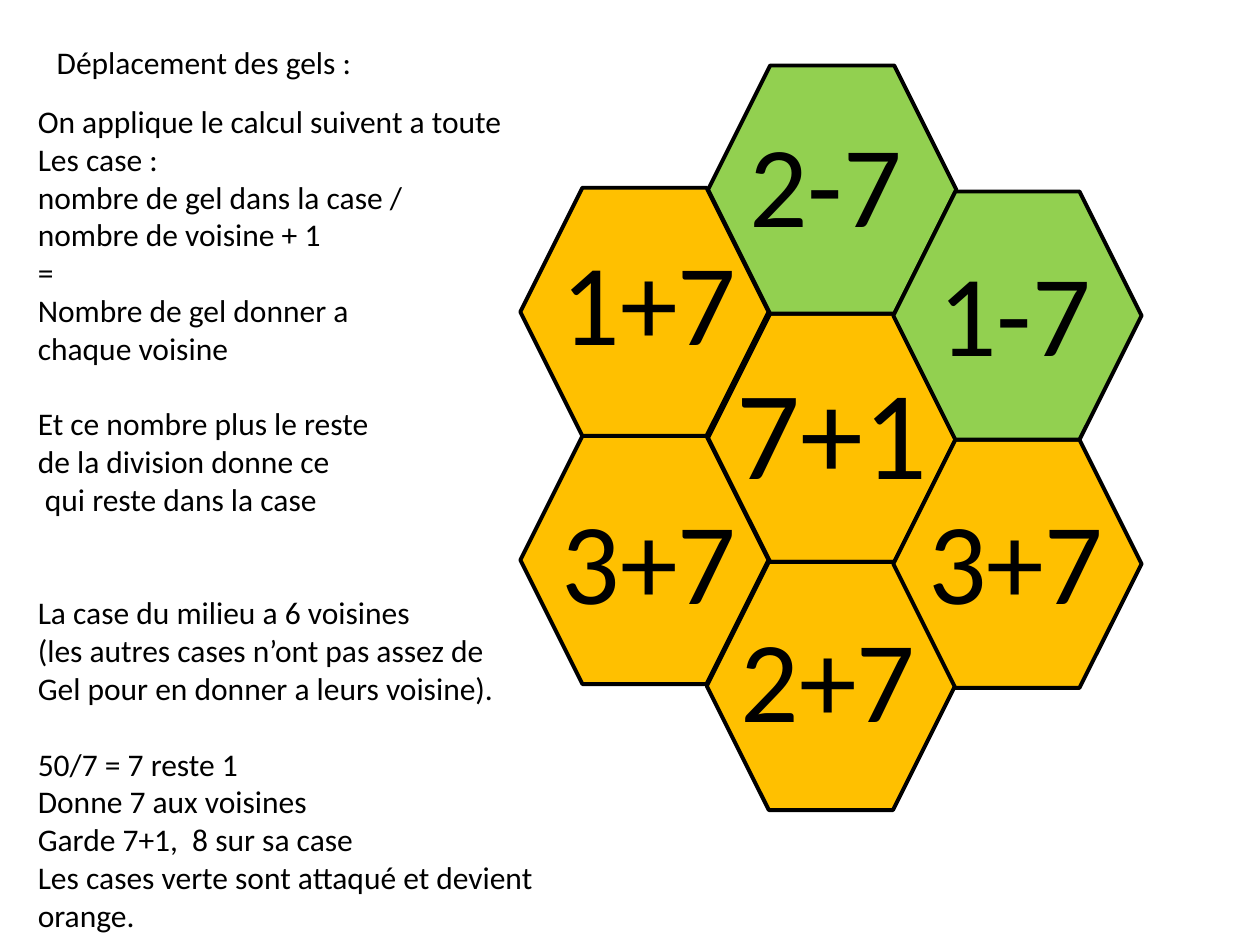
from lxml import etree
from pptx import Presentation
from pptx.dml.color import RGBColor
from pptx.enum.shapes import MSO_SHAPE
from pptx.enum.text import MSO_ANCHOR, MSO_AUTO_SIZE, PP_ALIGN
from pptx.oxml.ns import qn
from pptx.util import Pt

HEXAGON = MSO_SHAPE.HEXAGON
TOP = MSO_ANCHOR.TOP
FIXED = MSO_AUTO_SIZE.NONE
LEFT = PP_ALIGN.LEFT
BLACK = RGBColor(0, 0, 0)
ORANGE = RGBColor(0xFF, 0xC0, 0x00)
GREEN = RGBColor(0x92, 0xD0, 0x50)
PX = 9144  # 100 px to the inch
SIDE = 197
LINE = Pt(21.6)


def place(shape, x, y, w, h):
    shape.left, shape.top, shape.width, shape.height = (n * PX for n in (x, y, w, h))
    frame = shape.text_frame
    frame.auto_size = FIXED
    frame.vertical_anchor = TOP
    frame.word_wrap = False
    return frame


def style(para, size):
    para.alignment = LEFT
    para.font.name = "Calibri"
    para.font.size = Pt(size)
    para.font.color.rgb = BLACK


deck = Presentation()
deck.slide_width = 1000 * PX
deck.slide_height = 750 * PX
slide = deck.slides.add_slide(deck.slide_layouts[1])
title, body = slide.placeholders

frame = place(title, 35, 29, 257, 40)
frame.text = "Déplacement des gels :"
style(frame.paragraphs[0], 18)

# Each rule line: blank lines of space before it, then its text
rules = [
    (0, "On applique le calcul suivent a toute"),
    (0, "Les case :"),
    (0, "nombre de gel dans la case /"),
    (0, "nombre de voisine + 1"),
    (0, "="),
    (0, "Nombre de gel donner a"),
    (0, "chaque voisine"),
    (1, "Et ce nombre plus le reste"),
    (0, "de la division donne ce"),
    (0, " qui reste dans la case"),
    (2, "La case du milieu a 6 voisines"),
    (0, "(les autres cases n’ont pas assez de"),
    (0, "Gel pour en donner a leurs voisine)."),
    (1, "50/7 = 7 reste 1"),
    (0, "Donne 7 aux voisines"),
    (0, "Garde 7+1,  8 sur sa case"),
    (0, "Les cases verte sont attaqué et devient"),
    (0, "orange."),
]
frame = place(body, 20, 76, 434, 677)
frame.text = "\n".join(text for gap, text in rules)
for para, (gap, text) in zip(frame.paragraphs, rules):
    para.space_before = gap * LINE
    props = para._p.get_or_add_pPr()
    props.set("marL", "0")
    props.set("indent", "0")
    etree.SubElement(props, qn("a:buNone"))
    style(para, 18)

# Cell corner, fill, label, label box, label size
cells = [
    (413, 346, ORANGE, "3+7", (436, 383, 160, 121), 66),
    (562, 249, ORANGE, "7+1", (575, 276, 197, 131), 72),
    (561, 446, ORANGE, "2+7", (578, 477, 160, 121), 66),
    (709, 349, ORANGE, "3+7", (727, 383, 160, 121), 66),
    (413, 149, ORANGE, "1+7", (436, 178, 160, 121), 66),
    (562, 52, GREEN, "2-7", (585, 84, 143, 121), 66),
    (709, 152, GREEN, "1-7", (735, 186, 143, 121), 66),
]
comb = slide.shapes.add_group_shape().shapes
for x, y, fill, label, box, size in cells:
    cell = comb.add_shape(HEXAGON, x * PX, y * PX, SIDE * PX, SIDE * PX)
    cell.shadow.inherit = False
    cell.fill.solid()
    cell.fill.fore_color.rgb = fill
    cell.line.color.rgb = BLACK
    cell.line.width = Pt(2.25)

for x, y, fill, label, box, size in cells:
    frame = place(comb.add_textbox(0, 0, PX, PX), *box)
    frame.text = label
    style(frame.paragraphs[0], size)

# Fit the group around its cells and labels
comb._recalculate_extents() if hasattr(comb, "_recalculate_extents") else None

deck.save("out.pptx")
